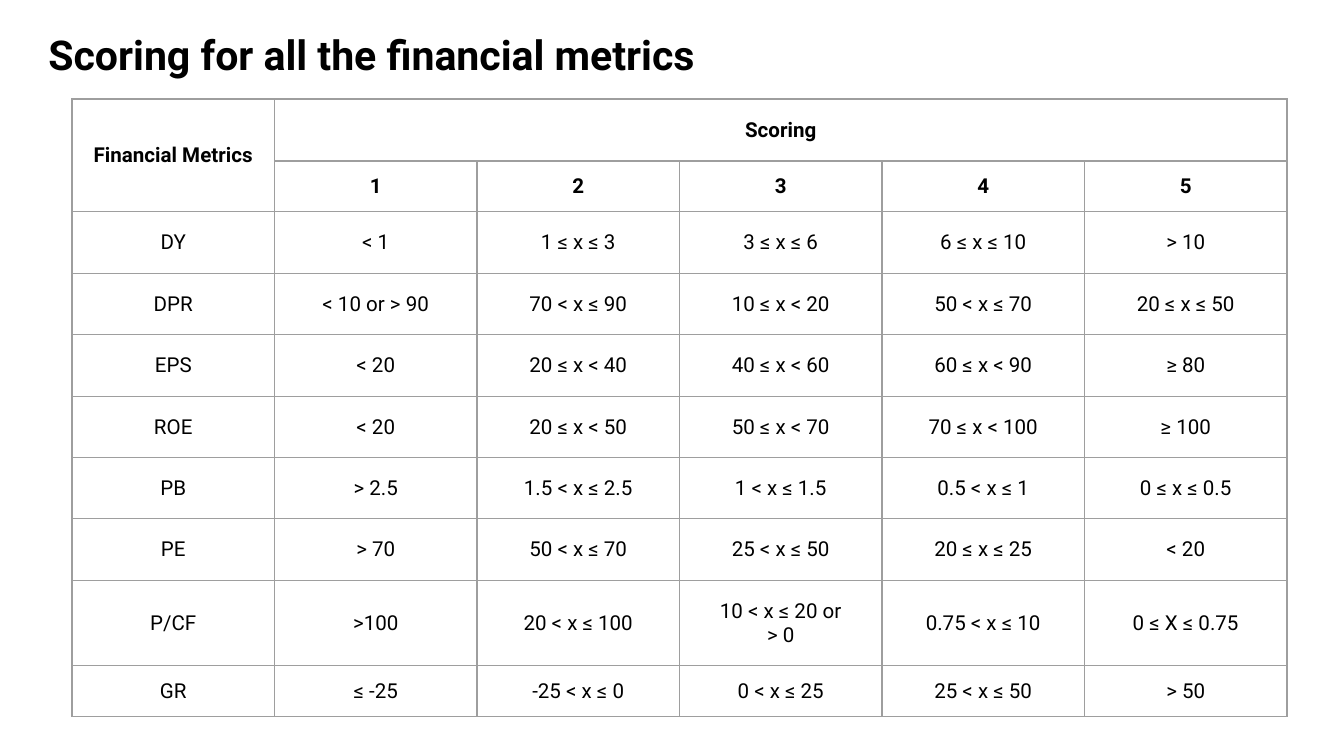
from dataclasses import dataclass
from itertools import pairwise

from lxml import etree
from pptx import Presentation
from pptx import util as u
from pptx.dml.color import RGBColor
from pptx.enum import text
from pptx.oxml import ns

SCALE = 914400 / 134.4


@dataclass(frozen=True)
class Theme:
    """Colours, font and sizes of the slide."""
    font: str = "Roboto"
    ink: str = "000000"
    paper: str = "FFFFFF"
    grid: str = "9E9E9E"
    title_size: int = 22
    cell_size: int = 11
    grid_width: float = 0.75
    inset: float = 0.1


THEME = Theme()

HEADINGS = [
    ["Financial Metrics", "Scoring", "", "", "", ""],
    ["", "1", "2", "3", "4", "5"],
]
SCORES = [
    ["DY", "< 1", "1 ≤ x ≤ 3", "3 ≤ x ≤ 6", "6 ≤ x ≤ 10", "> 10"],
    ["DPR", "< 10 or > 90", "70 < x ≤ 90", "10 ≤ x < 20", "50 < x ≤ 70", "20 ≤ x ≤ 50"],
    ["EPS", "< 20", "20 ≤ x < 40", "40 ≤ x < 60", "60 ≤ x < 90", "≥ 80"],
    ["ROE", "< 20", "20 ≤ x < 50", "50 ≤ x < 70", "70 ≤ x < 100", "≥ 100"],
    ["PB", "> 2.5", "1.5 < x ≤ 2.5", "1 < x ≤ 1.5", "0.5 < x ≤ 1", "0 ≤ x ≤ 0.5"],
    ["PE", "> 70", "50 < x ≤ 70", "25 < x ≤ 50", "20 ≤ x ≤ 25", "< 20"],
    ["P/CF", ">100", "20 < x ≤ 100", "10 < x ≤ 20 or\n> 0", "0.75 < x ≤ 10", "0 ≤ X ≤ 0.75"],
    ["GR", "≤ -25", "-25 < x ≤ 0", "0 < x ≤ 25", "25 < x ≤ 50", "> 50"],
]
ROW_EDGES = [0, 62, 112, 174, 235, 297, 358, 419, 481, 566, 617]


def px(length):
    """Turn pixels into EMU."""
    return u.Emu(round(length * SCALE))


def style_text(text_frame, size, bold, alignment):
    """Align the paragraphs and format their runs."""
    for paragraph in text_frame.paragraphs:
        paragraph.alignment = alignment
        for run in paragraph.runs:
            run.font.name = THEME.font
            run.font.size = u.Pt(size)
            run.font.bold = bold
            run.font.color.rgb = RGBColor.from_string(THEME.ink)


def set_insets(target):
    """Give a cell or text frame the same margin on each side."""
    for side in ("left", "right", "top", "bottom"):
        setattr(target, f"margin_{side}", u.Inches(THEME.inset))


def add_borders(cell):
    """Draw a grid line on each side of a cell."""
    properties = cell._tc.get_or_add_tcPr()
    for position, side in enumerate("LRTB"):
        line = etree.Element(ns.qn(f"a:ln{side}"), w=str(u.Pt(THEME.grid_width)))
        fill = etree.SubElement(line, ns.qn("a:solidFill"))
        etree.SubElement(fill, ns.qn("a:srgbClr"), val=THEME.grid)
        properties.insert(position, line)


def place_title(slide, box, wording):
    """Move and format the title placeholder."""
    title = slide.shapes.title
    title.left, title.top, title.width, title.height = map(px, box)
    text_frame = title.text_frame
    text_frame.text = wording
    text_frame.word_wrap = True
    text_frame.auto_size = text.MSO_AUTO_SIZE.NONE
    text_frame.vertical_anchor = text.MSO_ANCHOR.TOP
    set_insets(text_frame)
    style_text(text_frame, THEME.title_size, True, text.PP_ALIGN.JUSTIFY)


def place_scoring_table(slide, box):
    """Build the scoring grid with its two merged headings."""
    rows = HEADINGS + SCORES
    table = slide.shapes.add_table(len(rows), len(rows[0]), *map(px, box)).table
    table.first_row = table.horz_banding = False
    for column in table.columns:
        column.width = px(box[2] / len(rows[0]))
    for row, (top, bottom) in zip(table.rows, pairwise(ROW_EDGES)):
        row.height = px(bottom - top)
    for row_index, row in enumerate(rows):
        for column_index, wording in enumerate(row):
            cell = table.cell(row_index, column_index)
            cell.text_frame.text = wording
            cell.vertical_anchor = text.MSO_ANCHOR.MIDDLE
            cell.fill.background()
            set_insets(cell)
            add_borders(cell)
            style_text(cell.text_frame, THEME.cell_size,
                       row_index < len(HEADINGS), text.PP_ALIGN.CENTER)
    table.cell(0, 0).merge(table.cell(1, 0))
    table.cell(0, 1).merge(table.cell(0, 5))


def main():
    """Build and save the presentation."""
    presentation = Presentation()
    presentation.slide_width, presentation.slide_height = px(1344), px(756)
    slide = presentation.slides.add_slide(presentation.slide_layouts[5])
    slide.background.fill.solid()
    slide.background.fill.fore_color.rgb = RGBColor.from_string(THEME.paper)
    place_title(slide, (35, 16, 1253, 85), "Scoring for all the financial metrics")
    place_scoring_table(slide, (72, 99, 1215, ROW_EDGES[-1]))
    presentation.save("out.pptx")


if __name__ == "__main__":
    main()
